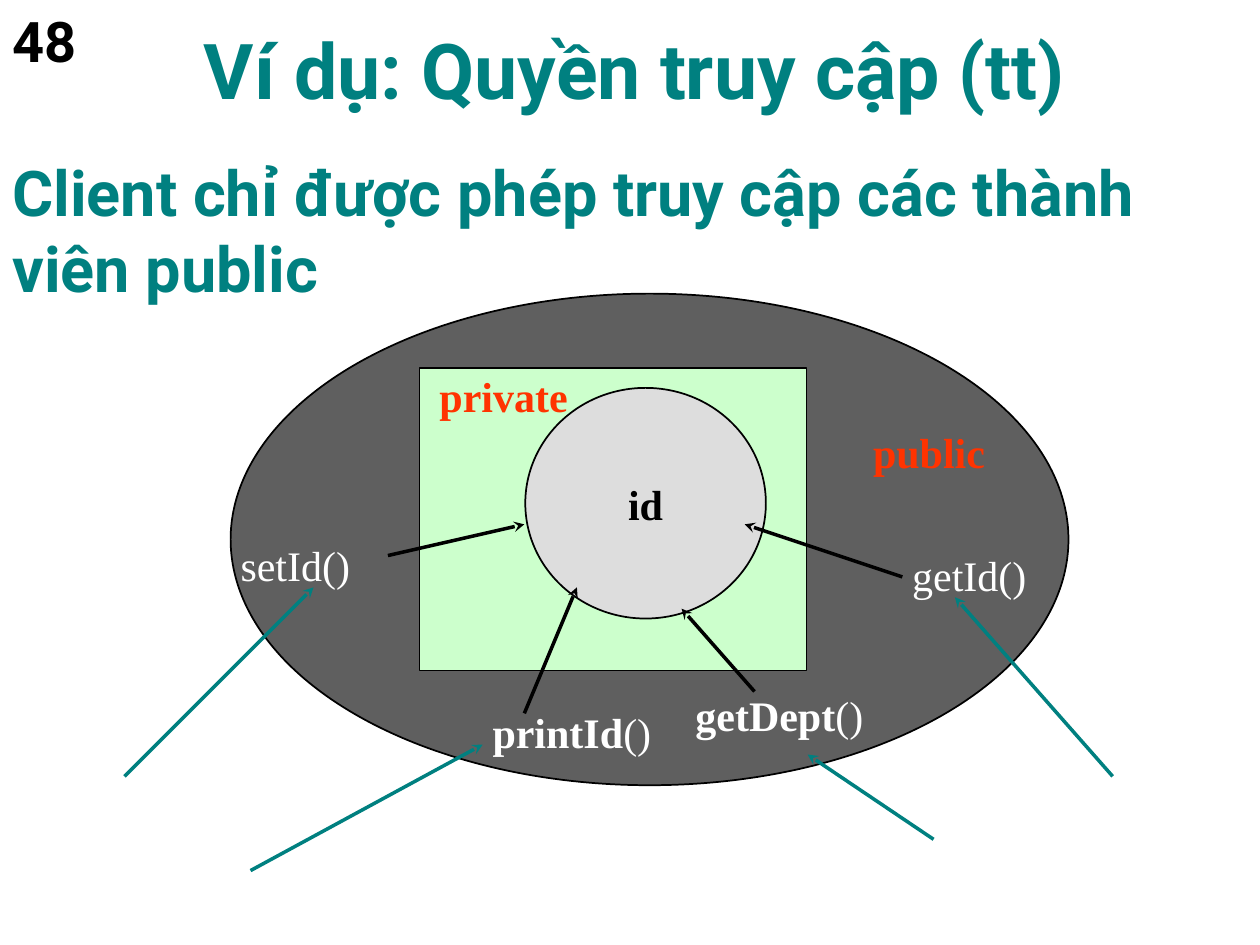
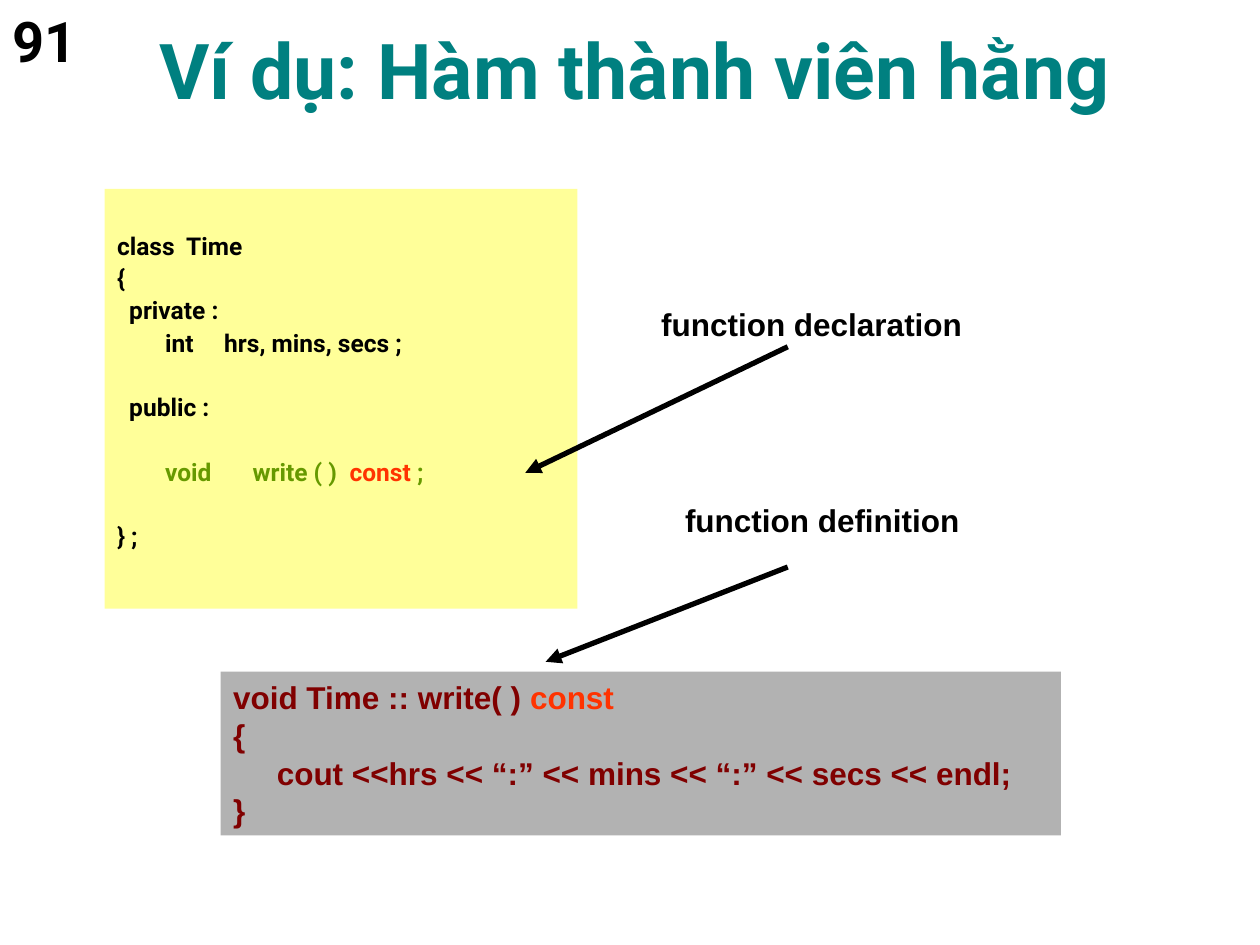
from dataclasses import dataclass, replace
from typing import Optional

from lxml import etree
from pptx import Presentation
from pptx.dml.color import RGBColor
from pptx.enum.shapes import MSO_CONNECTOR, MSO_SHAPE
from pptx.enum.text import MSO_ANCHOR, PP_ALIGN
from pptx.oxml.ns import qn
from pptx.slide import Slide
from pptx.util import Cm, Pt

TEAL = RGBColor(0x00, 0x80, 0x80)
BLACK = RGBColor(0x00, 0x00, 0x00)
WHITE = RGBColor(0xFF, 0xFF, 0xFF)
RED = RGBColor(0xFF, 0x33, 0x00)
GREEN = RGBColor(0x66, 0x99, 0x00)
MAROON = RGBColor(0x80, 0x00, 0x00)
DARK = RGBColor(0x5F, 0x5F, 0x5F)
MINT = RGBColor(0xCC, 0xFF, 0xCC)
PALE = RGBColor(0xDD, 0xDD, 0xDD)
YELLOW = RGBColor(0xFF, 0xFF, 0x99)
GREY = RGBColor(0xB2, 0xB2, 0xB2)

LEFT, CENTER = PP_ALIGN.LEFT, PP_ALIGN.CENTER
TOP, MIDDLE, BOTTOM = MSO_ANCHOR.TOP, MSO_ANCHOR.MIDDLE, MSO_ANCHOR.BOTTOM
OVAL, RECT = MSO_SHAPE.OVAL, MSO_SHAPE.RECTANGLE
STRAIGHT = MSO_CONNECTOR.STRAIGHT

SANS, SERIF, ARIAL = "Roboto", "Times New Roman", "Arial"
INDENT, TAB = Cm(0.97), Cm(2.54)
GAP = Pt(18.4)


@dataclass(frozen=True)
class Style:
    font: str
    size: int
    color: RGBColor
    bold: bool = True


@dataclass(frozen=True)
class Run:
    text: str
    style: Style


@dataclass(frozen=True)
class Line:
    runs: tuple[Run, ...]
    gap: bool = False
    inset: bool = False


@dataclass(frozen=True)
class Box:
    area: tuple[float, float, float, float]
    lines: tuple[Line, ...] = ()
    kind: Optional[MSO_SHAPE] = None
    fill: Optional[RGBColor] = None
    edge: bool = False
    align: PP_ALIGN = LEFT
    anchor: MSO_ANCHOR = TOP
    wrap: bool = False
    top: float = 0.13
    pitch: float = 1.0


@dataclass(frozen=True)
class Arrow:
    ends: tuple[float, float, float, float]
    color: RGBColor = BLACK
    width: int = 2
    head: str = "stealth"


HEAD = Style(SANS, 44, TEAL)
LEAD = Style(SANS, 36, TEAL)
PAGE = Style(SANS, 32, BLACK)
FIELD = Style(SERIF, 24, BLACK)
ZONE = replace(FIELD, color=RED)
METHOD = replace(FIELD, color=WHITE)
PLAIN = replace(METHOD, bold=False)
CODE = Style(SANS, 14, BLACK)
CONST = replace(CODE, color=RED)
SHOWN = replace(CODE, color=GREEN)
NOTE = Style(ARIAL, 18, BLACK)
BODY = replace(NOTE, color=MAROON)
BODY_CONST = replace(NOTE, color=RED)


def line(text: str, style: Style, gap: bool = False, inset: bool = False) -> Line:
    return Line((Run(text, style),), gap, inset)


def draw_box(slide: Slide, box: Box) -> None:
    area = [Cm(side) for side in box.area]
    if box.kind is None:
        shape = slide.shapes.add_textbox(*area)
    else:
        shape = slide.shapes.add_shape(box.kind, *area)
        shape.shadow.inherit = False
        shape.fill.solid()
        shape.fill.fore_color.rgb = box.fill
        if box.edge:
            shape.line.color.rgb = BLACK
            shape.line.width = Pt(1)
        else:
            shape.line.fill.background()
    frame = shape.text_frame
    frame.word_wrap = box.wrap
    frame.vertical_anchor = box.anchor
    frame.margin_top = Cm(box.top)
    for rank, item in enumerate(box.lines):
        para = frame.add_paragraph() if rank else frame.paragraphs[0]
        para.alignment = box.align
        para.line_spacing = box.pitch
        if item.gap:
            para.space_before = GAP
        if item.inset:
            props = para._p.get_or_add_pPr()
            props.set("marL", str(INDENT))
            props.set("indent", "0")
            tabs = etree.SubElement(props, qn("a:tabLst"))
            etree.SubElement(tabs, qn("a:tab"), pos=str(TAB), algn="l")
        for part in item.runs:
            run = para.add_run()
            run.text = part.text
            font = run.font
            font.name = part.style.font
            font.size = Pt(part.style.size)
            font.bold = part.style.bold
            font.color.rgb = part.style.color


def draw_arrow(slide: Slide, arrow: Arrow) -> None:
    link = slide.shapes.add_connector(STRAIGHT, *[Cm(end) for end in arrow.ends])
    link.line.color.rgb = arrow.color
    link.line.width = Pt(arrow.width)
    etree.SubElement(link.line._get_or_add_ln(), qn("a:tailEnd"), type=arrow.head)
    etree.SubElement(link._element.spPr, qn("a:effectLst"))


def build(deck: Presentation, title: str, page: str,
          boxes: list[Box], arrows: list[Arrow]) -> None:
    slide = deck.slides.add_slide(deck.slide_layouts[6])
    frame = [
        Box((0.84, 0.43, 23.93, 2.01), (line(title, HEAD),),
            align=CENTER, anchor=BOTTOM, wrap=True),
        Box((0, 0, 2.74, 1.8), (line(page, PAGE),), wrap=True),
    ]
    for box in frame + boxes:
        draw_box(slide, box)
    for arrow in arrows:
        draw_arrow(slide, arrow)


def label(x: float, y: float, width: float, *runs: Run) -> Box:
    return Box((x, y, width, 1.27), (Line(runs),))


ACCESS = [
    Box((0, 4.24, 25.4, 2.03),
        (line("Client chỉ được phép truy cập các thành viên public", LEAD),),
        anchor=BOTTOM, wrap=True),
    Box((4.65, 5.92, 16.89, 9.91), kind=OVAL, fill=DARK, edge=True),
    Box((8.46, 7.42, 7.8, 6.1), kind=RECT, fill=MINT, edge=True),
    Box((10.59, 7.82, 4.85, 4.65), (line("id", FIELD),), OVAL, PALE, True,
        CENTER, MIDDLE),
    label(9.68, 14.12, 3.71, Run("printId", METHOD), Run("()", PLAIN)),
    label(4.6, 10.74, 2.72, Run("setId()", PLAIN)),
    label(18.14, 10.95, 2.82, Run("getId()", PLAIN)),
    label(13.77, 13.77, 3.91, Run("getDept", METHOD), Run("()", PLAIN)),
    label(8.61, 7.34, 3.1, Run("private", ZONE)),
    label(17.35, 8.46, 2.77, Run("public", ZONE)),
]
CALLS = [
    Arrow((10.57, 14.38, 11.63, 11.84)),
    Arrow((18.19, 11.63, 15.01, 10.57)),
    Arrow((7.82, 11.2, 10.57, 10.57)),
    Arrow((15.21, 13.94, 13.74, 12.27)),
    Arrow((5.05, 17.55, 9.73, 15.01), TEAL),
    Arrow((2.51, 15.65, 6.32, 11.84), TEAL),
    Arrow((18.82, 16.92, 16.28, 15.21), TEAL),
    Arrow((22.43, 15.65, 19.25, 12.04), TEAL),
]

CLASS = (
    line("class  Time", CODE),
    line("{", CODE),
    line("  private :", CODE),
    line("int     hrs, mins, secs ;", CODE, inset=True),
    line("  public :", CODE, gap=True),
    Line((Run("void\t    write ( )  ", SHOWN), Run("const", CONST),
          Run(" ;", SHOWN)), gap=True, inset=True),
    line("} ;", CODE, gap=True),
)
WRITE = (
    Line((Run("void Time :: write( ) ", BODY), Run("const", BODY_CONST))),
    line("{", BODY),
    line("     cout <<hrs << “:” << mins << “:” << secs << endl;", BODY),
    line("}", BODY),
)
MEMBER = [
    Box((2.11, 3.81, 9.53, 8.46), CLASS, RECT, YELLOW,
        wrap=True, top=0.78, pitch=1.1),
    Box((4.45, 13.54, 16.94, 3.3), WRITE, RECT, GREY, wrap=True),
    Box((13.08, 6.02, 6.58, 1.02), (line("function declaration", NOTE),)),
    Box((13.56, 9.98, 6.05, 1.02), (line("function definition", NOTE),)),
]
LINKS = [
    Arrow((15.88, 6.99, 10.59, 9.53), width=3, head="triangle"),
    Arrow((15.88, 11.43, 11, 13.34), width=3, head="triangle"),
]


def main() -> None:
    deck = Presentation()
    deck.slide_width, deck.slide_height = Cm(25.4), Cm(19.05)
    build(deck, "Ví dụ: Quyền truy cập (tt)", "48", ACCESS, CALLS)
    build(deck, "Ví dụ: Hàm thành viên hằng", "91", MEMBER, LINKS)
    deck.save("out.pptx")


if __name__ == "__main__":
    main()
